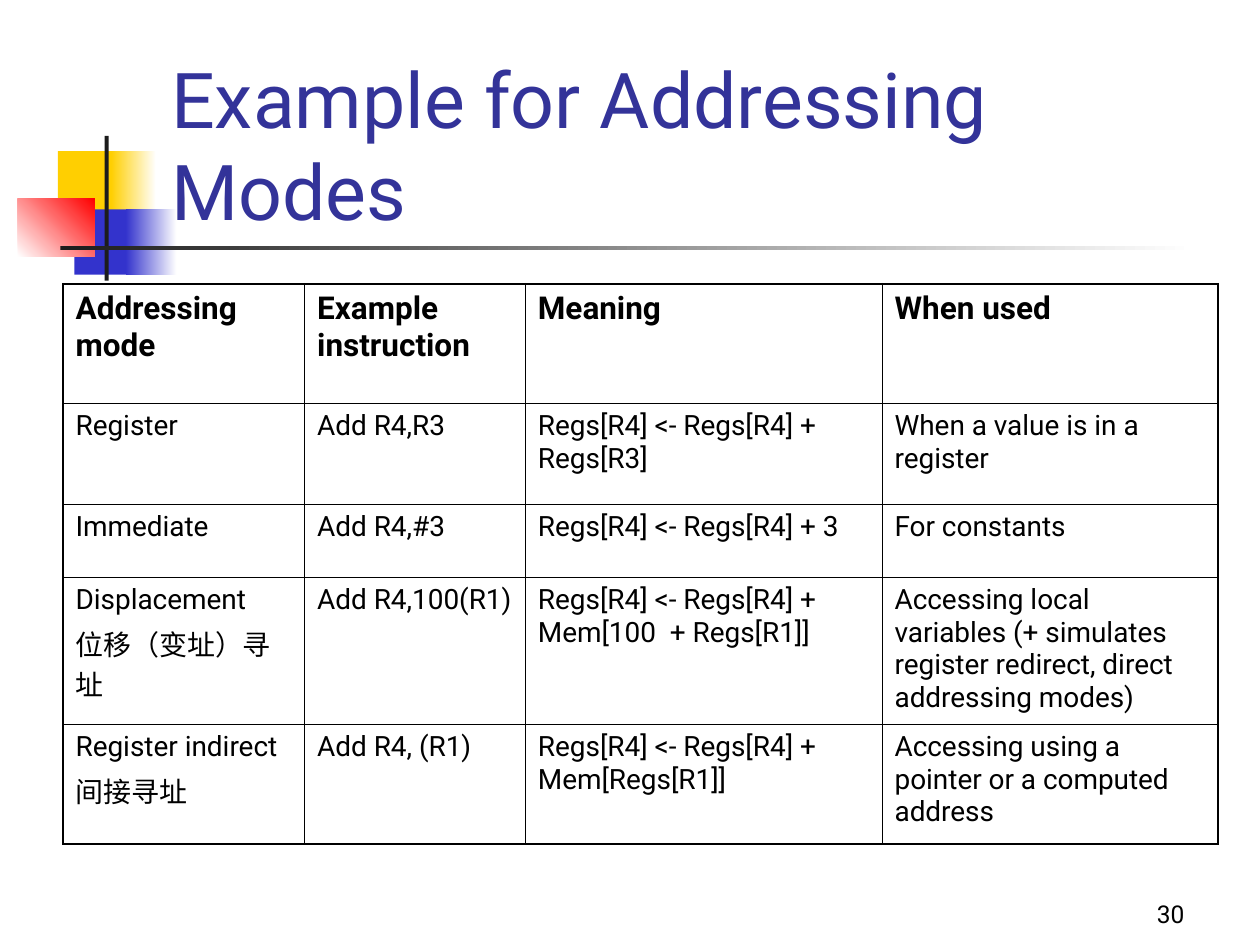
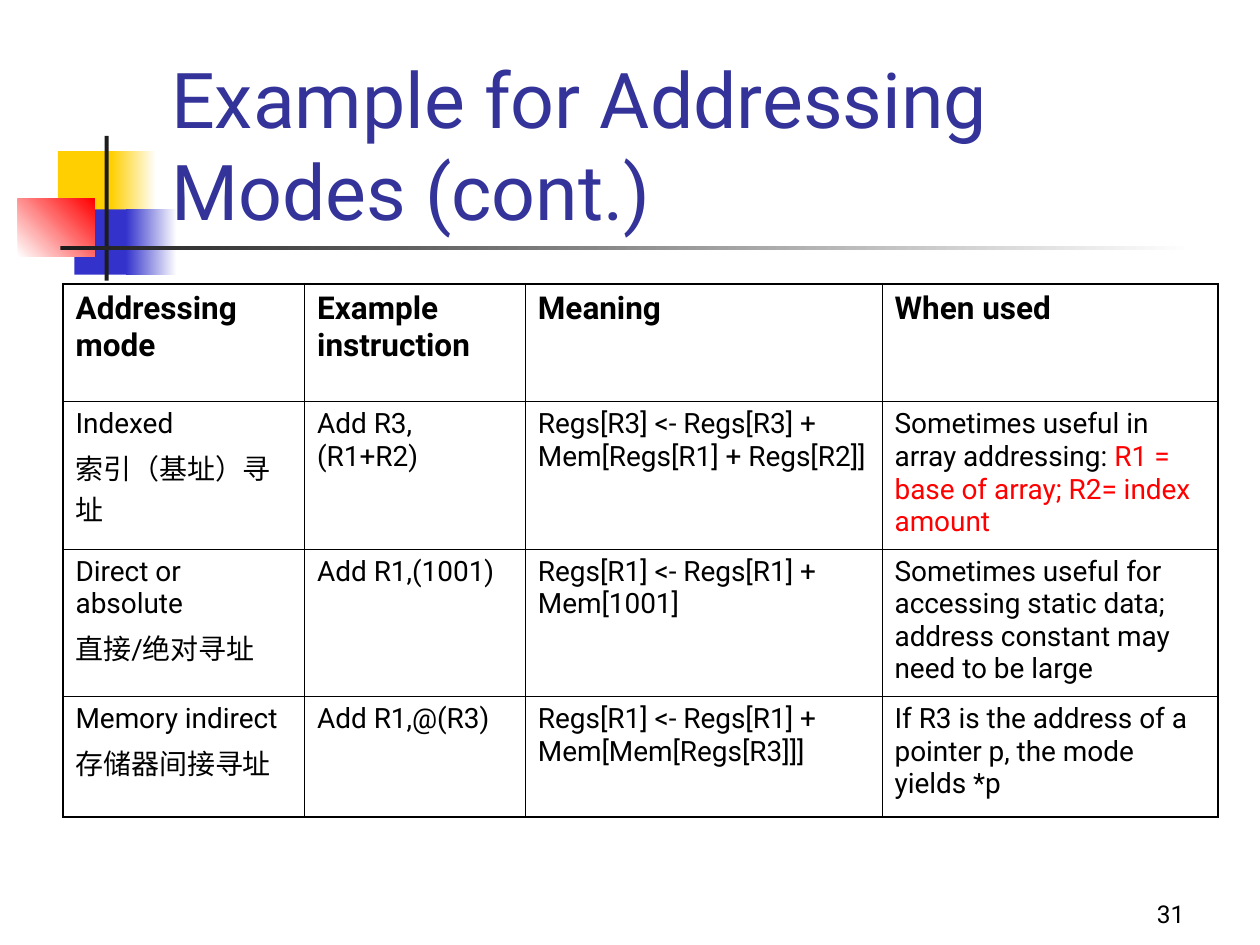
from dataclasses import dataclass

from lxml import etree
from pptx import Presentation
from pptx import util as u
from pptx.dml.color import RGBColor
from pptx.enum import shapes, text
from pptx.oxml import ns

Cm, Pt = u.Cm, u.Pt


@dataclass(frozen=True)
class Theme:
    font: str = "Roboto"
    title: str = "333399"
    body: str = "000000"
    accent: str = "FF0000"
    white: str = "FFFFFF"
    yellow: str = "FFCF01"
    blue: str = "3333CC"
    red: str = "FF0000"
    bar: str = "1C1C1C"
    title_size: float = 44
    head_size: float = 18
    cell_size: float = 16
    number_size: float = 14
    outer_line: float = 1.08
    inner_line: float = 0.45


class Deck:
    """Holds the presentation, its theme and the current slide."""

    def __init__(self, theme):
        self.theme = theme
        self.prs = Presentation()
        self.prs.slide_width, self.prs.slide_height = Cm(25.4), Cm(19.05)
        self.s = None

    def slide(self, title, number):
        self.s = self.prs.slides.add_slide(self.prs.slide_layouts[6])
        self.ornament()
        t = self.theme
        self.label((18.85, 17.58, 5.28, 1.27), number, t.number_size, t.body,
                   text.PP_ALIGN.RIGHT)
        self.label((3.2, 1.7, 21.64, 3.18), title, t.title_size, t.title,
                   text.PP_ALIGN.LEFT)

    def ornament(self):
        """Coloured blocks crossed by two bars, left of the title."""
        t = self.theme
        self.block((1.17, 3.05, 1.22, 1.32), t.yellow)
        self.block((2.24, 3.05, 0.91, 1.32), t.yellow, t.white)
        self.block((1.5, 4.22, 1.17, 1.32), t.blue)
        self.block((2.54, 4.22, 1.02, 1.32), t.blue, t.white)
        self.block((0.36, 4.01, 1.55, 1.17), t.white, t.red, angle=45)
        self.block((2.11, 2.74, 0.08, 2.92), t.bar)
        self.block((1.22, 4.95, 22.86, 0.09), t.bar, t.white)

    def block(self, box, color, end=None, angle=0):
        sp = self.s.shapes.add_shape(shapes.MSO_SHAPE.RECTANGLE, *map(Cm, box))
        sp.shadow.inherit = False
        sp.line.fill.background()
        if end is None:
            sp.fill.solid()
            sp.fill.fore_color.rgb = RGBColor.from_string(color)
            return
        sp.fill.gradient()
        sp.fill.gradient_angle = angle
        for stop, stop_color in zip(sp.fill.gradient_stops, (color, end)):
            stop.color.rgb = RGBColor.from_string(stop_color)

    def run(self, p, words, size, color, bold=False):
        r = p.add_run()
        r.text = words
        r.font.name = self.theme.font
        r.font.size = Pt(size)
        r.font.bold = bold
        r.font.color.rgb = RGBColor.from_string(color)

    def label(self, box, words, size, color, align):
        tf = self.s.shapes.add_textbox(*map(Cm, box)).text_frame
        tf.word_wrap = True
        tf.vertical_anchor = text.MSO_ANCHOR.BOTTOM
        p = tf.paragraphs[0]
        p.alignment = align
        self.run(p, words, size, color)

    def table(self, left, top, widths, heights, rows):
        frame = self.s.shapes.add_table(len(rows), len(widths), Cm(left), Cm(top),
                                        Cm(sum(widths)), Cm(sum(heights)))
        table = frame.table
        table.first_row = table.horz_banding = False
        for column, width in zip(table.columns, widths):
            column.width = Cm(width)
        for i, (row, height) in enumerate(zip(rows, heights)):
            table.rows[i].height = Cm(height)
            for j, words in enumerate(row):
                cell = table.cell(i, j)
                self.fill_cell(cell, words, head=i == 0)
                self.borders(cell, L=j == 0, R=j == len(widths) - 1,
                             T=i == 0, B=i == len(rows) - 1)
                cell.fill.background()

    def fill_cell(self, cell, words, head):
        """Lines become paragraphs; what follows a bar is in the accent colour."""
        t = self.theme
        size = t.head_size if head else t.cell_size
        for k, line in enumerate(words.split("\n")):
            p = cell.text_frame.add_paragraph() if k else cell.text_frame.paragraphs[0]
            if k:
                p.space_before = Pt(size / 4)
            plain, _, marked = line.partition("|")
            self.run(p, plain, size, t.body, head)
            if marked:
                self.run(p, marked, size, t.accent, head)

    def borders(self, cell, **outer_sides):
        t = self.theme
        tc_pr = cell._tc.get_or_add_tcPr()
        for side, outer in outer_sides.items():
            width = Pt(t.outer_line if outer else t.inner_line)
            ln = etree.SubElement(tc_pr, ns.qn(f"a:ln{side}"), w=str(width))
            fill = etree.SubElement(ln, ns.qn("a:solidFill"))
            etree.SubElement(fill, ns.qn("a:srgbClr"), val=t.body)


# Table content
HEAD = ("Addressing mode", "Example instruction", "Meaning", "When used")
BASIC_MODES = [
    ("Register", "Add R4,R3", "Regs[R4] <- Regs[R4] + Regs[R3]",
     "When a value is in a register"),
    ("Immediate", "Add R4,#3", "Regs[R4] <- Regs[R4] + 3", "For constants"),
    ("Displacement\n位移（变址）寻址", "Add R4,100(R1)",
     "Regs[R4] <- Regs[R4] + Mem[100  + Regs[R1]]",
     "Accessing local variables (+ simulates register redirect, "
     "direct addressing modes)"),
    ("Register indirect\n间接寻址", "Add R4, (R1)",
     "Regs[R4] <- Regs[R4] + Mem[Regs[R1]]",
     "Accessing using a pointer or a computed address"),
]
MEMORY_MODES = [
    ("Indexed\n索引（基址）寻址", "Add R3,(R1+R2)",
     "Regs[R3] <- Regs[R3] + Mem[Regs[R1] + Regs[R2]]",
     "Sometimes useful in array addressing: |R1 = base of array; R2= index amount"),
    ("Direct or absolute\n直接/绝对寻址", "Add R1,(1001)",
     "Regs[R1] <- Regs[R1] + Mem[1001]",
     "Sometimes useful for accessing static data; "
     "address constant may need to be large"),
    ("Memory indirect\n存储器间接寻址", "Add R1,@(R3)",
     "Regs[R1] <- Regs[R1] + Mem[Mem[Regs[R3]]]",
     "If R3 is the address of a pointer p, the mode yields *p"),
]
WIDTHS = (4.87, 4.45, 7.19, 6.78)

# Title, slide number, row heights, table rows
SLIDES = [
    ("Example for Addressing Modes", "30",
     (2.42, 2.03, 1.47, 2.97, 2.41), BASIC_MODES),
    ("Example for Addressing Modes (cont.)", "31",
     (2.38, 2.97, 2.97, 2.43), MEMORY_MODES),
]


def main():
    deck = Deck(Theme())
    for title, number, heights, modes in SLIDES:
        deck.slide(title, number)
        deck.table(1.27, 5.72, WIDTHS, heights, [HEAD, *modes])
    deck.prs.save("out.pptx")


if __name__ == "__main__":
    main()
